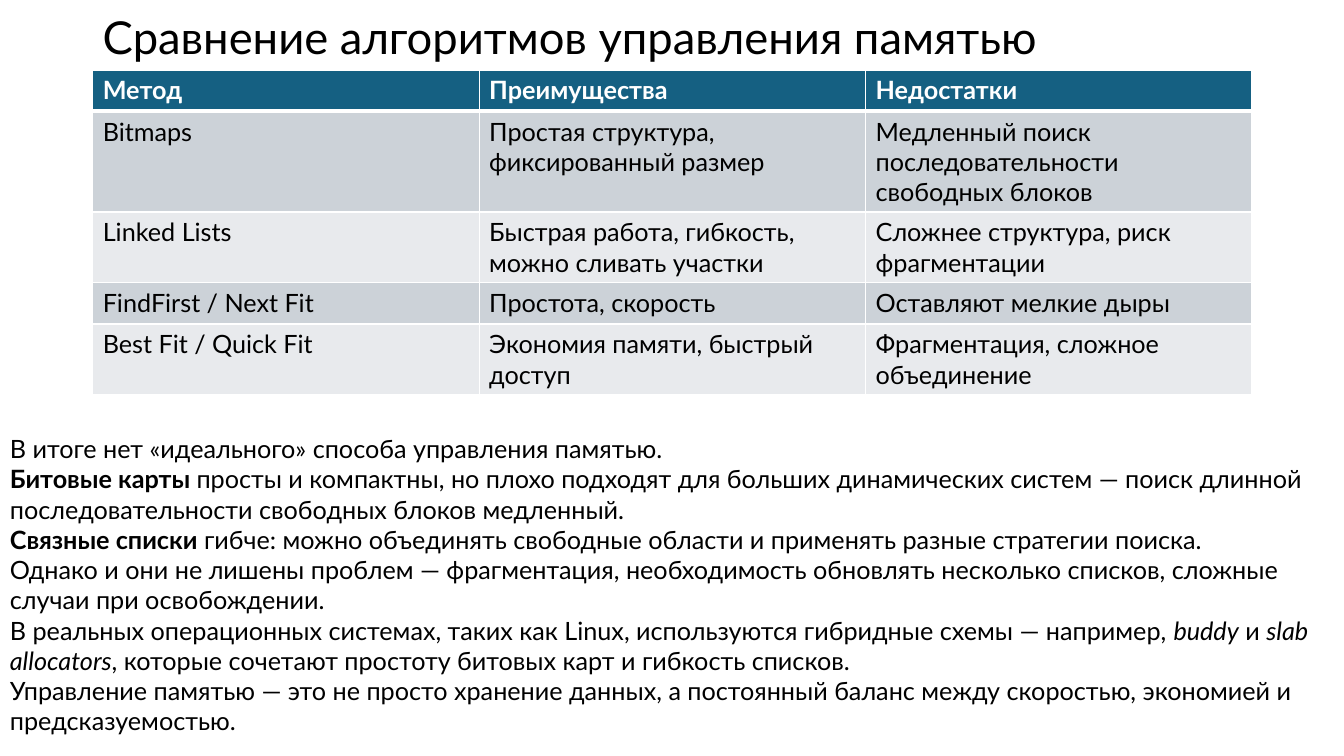
from dataclasses import dataclass

from lxml import etree
from pptx import Presentation
from pptx import util as u
from pptx.dml.color import RGBColor
from pptx.enum import text as t
from pptx.oxml.ns import qn


@dataclass(frozen=True)
class Theme:
    font: str = "Lato"
    title_size: float = 32.4
    body_size: float = 18
    ink: str = "000000"
    paper: str = "FFFFFF"
    header: str = "156082"
    bands: tuple = ("CCD2D8", "E8EAED")
    thin: float = 1
    thick: float = 3


THEME = Theme()
WIDTH, HEIGHT = u.Inches(13.33), u.Inches(7.5)
MARGIN, CONTENT = 0.069, 0.8626  # shares of the slide width
ROW_HEIGHT = u.Inches(0.41)

TITLE = "Сравнение алгоритмов управления памятью"
METHODS = [
    ("Метод", "Преимущества", "Недостатки"),
    ("Bitmaps", "Простая структура, фиксированный размер",
     "Медленный поиск последовательности свободных блоков"),
    ("Linked Lists", "Быстрая работа, гибкость, можно сливать участки",
     "Сложнее структура, риск фрагментации"),
    ("FindFirst / Next Fit", "Простота, скорость", "Оставляют мелкие дыры"),
    ("Best Fit / Quick Fit", "Экономия памяти, быстрый доступ",
     "Фрагментация, сложное объединение"),
]
# Each paragraph is a list of (text, style) runs: "b" is bold, "i" is italic.
CONCLUSIONS = [
    [("В итоге нет «идеального» способа управления памятью.", "")],
    [("Битовые карты ", "b"),
     ("просты и компактны, но плохо подходят для больших динамических систем — "
      "поиск длинной последовательности свободных блоков медленный.", "")],
    [("Связные списки", "b"),
     (" гибче: можно объединять свободные области и применять разные стратегии поиска.", "")],
    [("Однако и они не лишены проблем — фрагментация, необходимость обновлять "
      "несколько списков, сложные случаи при освобождении.", "")],
    [("В реальных операционных системах, таких как Linux, используются гибридные "
      "схемы — например, ", ""), ("buddy", "i"), (" и ", ""), ("slab allocators", "i"),
     (", которые сочетают простоту битовых карт и гибкость списков.", "")],
    [("Управление памятью — это не просто хранение данных, а постоянный баланс "
      "между скоростью, экономией и предсказуемостью.", "")],
]


def write(paragraph, content, *, size=THEME.body_size, color=THEME.ink,
          bold=False, italic=False):
    run = paragraph.add_run()
    run.text = content
    font = run.font
    font.name, font.size = THEME.font, u.Pt(size)
    font.bold, font.italic = bold, italic
    font.color.rgb = RGBColor.from_string(color)


def add_text_frame(slide, left, top, width, height):
    """Add a wrapping text box placed by shares of the slide's size."""
    frame = slide.shapes.add_textbox(
        int(WIDTH * left), int(HEIGHT * top),
        int(WIDTH * width), int(HEIGHT * height)).text_frame
    frame.word_wrap = True
    return frame


def add_title(slide):
    frame = add_text_frame(slide, MARGIN, 0.01, CONTENT, 0.084)
    frame.vertical_anchor = t.MSO_ANCHOR.MIDDLE
    heading = frame.paragraphs[0]
    heading.line_spacing = 0.9
    write(heading, TITLE, size=THEME.title_size)


def set_borders(cell, top, bottom):
    properties = cell._tc.get_or_add_tcPr()
    widths = {"a:lnL": THEME.thin, "a:lnR": THEME.thin, "a:lnT": top, "a:lnB": bottom}
    for side, width in widths.items():
        line = etree.SubElement(properties, qn(side), w=str(u.Pt(width)))
        fill = etree.SubElement(line, qn("a:solidFill"))
        etree.SubElement(fill, qn("a:srgbClr"), val=THEME.paper)


def add_comparison(slide):
    rows, columns = len(METHODS), len(METHODS[0])
    table = slide.shapes.add_table(
        rows, columns, int(WIDTH * MARGIN), int(HEIGHT * 0.0925),
        int(WIDTH * CONTENT), ROW_HEIGHT * rows).table
    for row, method in enumerate(METHODS):
        table.rows[row].height = ROW_HEIGHT
        is_header = row == 0
        background = THEME.header if is_header else THEME.bands[(row - 1) % 2]
        for column, content in enumerate(method):
            cell = table.cell(row, column)
            set_borders(cell, top=THEME.thick if row == 1 else THEME.thin,
                        bottom=THEME.thick if is_header else THEME.thin)
            cell.fill.solid()
            cell.fill.fore_color.rgb = RGBColor.from_string(background)
            write(cell.text_frame.paragraphs[0], content, bold=is_header,
                  color=THEME.paper if is_header else THEME.ink)


def add_conclusions(slide):
    frame = add_text_frame(slide, 0, 0.567, 1, 0.457)
    frame.auto_size = t.MSO_AUTO_SIZE.SHAPE_TO_FIT_TEXT
    for index, runs in enumerate(CONCLUSIONS):
        paragraph = frame.add_paragraph() if index else frame.paragraphs[0]
        for content, style in runs:
            write(paragraph, content, bold=style == "b", italic=style == "i")


def main():
    deck = Presentation()
    deck.slide_width, deck.slide_height = WIDTH, HEIGHT
    slide = deck.slides.add_slide(deck.slide_layouts[6])
    add_title(slide)
    add_comparison(slide)
    add_conclusions(slide)
    deck.save("out.pptx")


if __name__ == "__main__":
    main()
